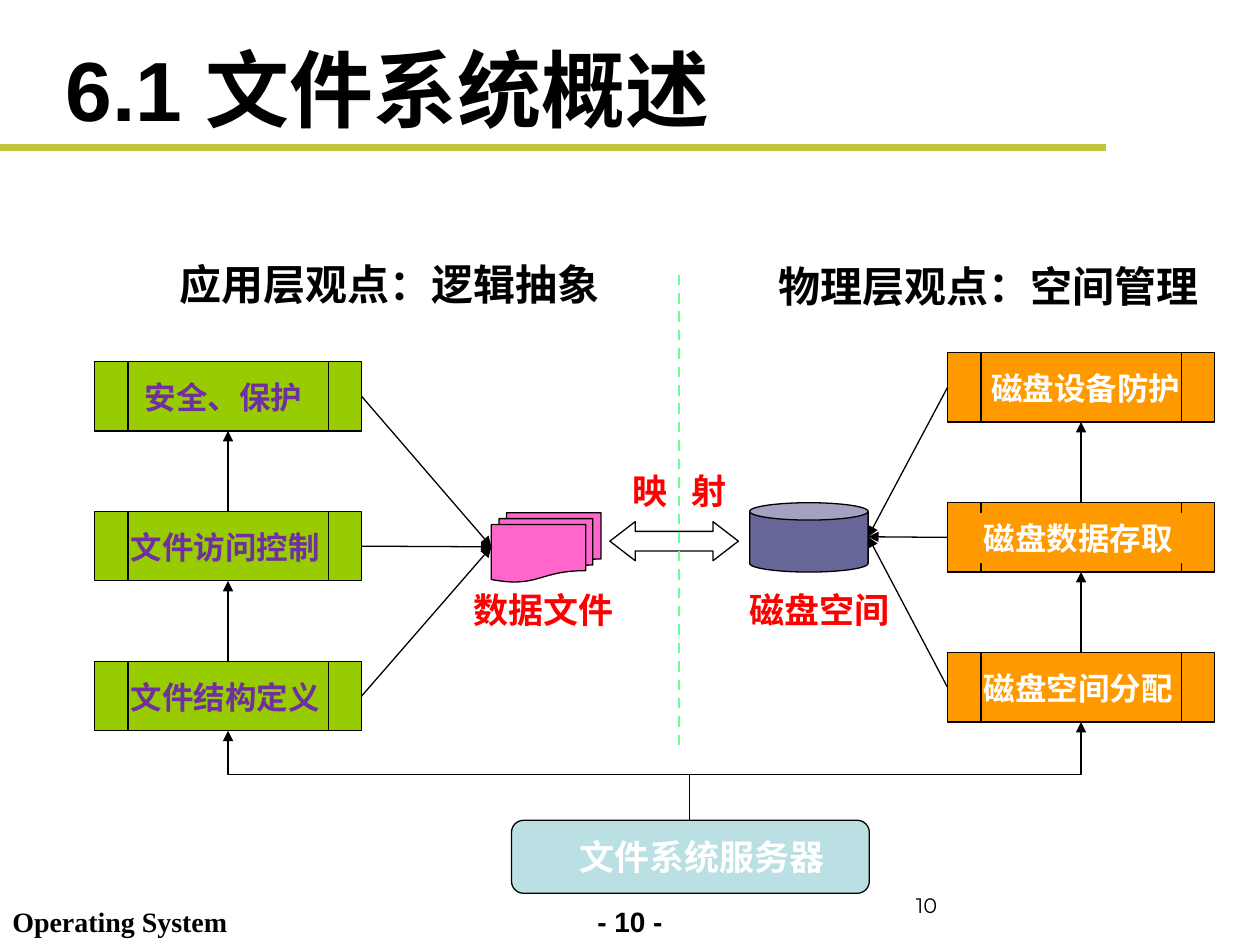
from lxml.etree import SubElement
from pptx import Presentation
from pptx.dml.color import RGBColor
from pptx.enum.dml import MSO_LINE
from pptx.enum.shapes import MSO_CONNECTOR, MSO_SHAPE
from pptx.enum.text import MSO_ANCHOR, PP_ALIGN
from pptx.oxml.ns import qn
from pptx.util import Inches, Pt

presentation = Presentation()
presentation.slide_width = Inches(10)
presentation.slide_height = Inches(7.5)
slide = presentation.slides.add_slide(presentation.slide_layouts[6])
shapes = slide.shapes


def color(value):
    return RGBColor.from_string(value)


def add_text(text, left, top, width, height, size, font_color="000000",
             font="Arial", bold=True, wrap=False, fill=None):
    shape = shapes.add_textbox(*map(Inches, (left, top, width, height)))
    if fill:
        shape.fill.solid()
        shape.fill.fore_color.rgb = color(fill)
    shape.text_frame.word_wrap = wrap
    paragraph = shape.text_frame.paragraphs[0]
    paragraph.text = text
    paragraph.font.size = Pt(size)
    paragraph.font.name = font
    paragraph.font.bold = bold
    paragraph.font.color.rgb = color(font_color)
    return shape


def add_box(kind, left, top, width, height, fill):
    shape = shapes.add_shape(kind, *map(Inches, (left, top, width, height)))
    shape.shadow.inherit = False
    shape.fill.solid()
    shape.fill.fore_color.rgb = color(fill)
    shape.line.color.rgb = color("000000")
    shape.line.width = Pt(0.75)
    return shape


def add_line(start, end, line_color="000000", width=0.75, arrow=True,
             kind=MSO_CONNECTOR.STRAIGHT):
    connector = shapes.add_connector(kind, *map(Inches, (*start, *end)))
    connector.line.color.rgb = color(line_color)
    connector.line.width = Pt(width)
    if arrow:
        SubElement(connector.line._get_or_add_ln(), qn("a:tailEnd"), type="triangle")
    SubElement(connector._element.spPr, qn("a:effectLst"))
    return connector


# Footer, title rule, slide number and title
page = add_text("- 10 -", 4.5, 7.13, 1, 0.37, 16, wrap=True)
page.text_frame.paragraphs[0].alignment = PP_ALIGN.CENTER
add_text("Operating System", 0, 7.13, 1.91, 0.37, 16, font="Times New Roman")
add_line((0, 1.17), (8.78, 1.17), "C1C43C", 4, arrow=False)
number = add_text("10", 7.17, 6.83, 2.33, 0.5, 12, font="Montserrat", bold=False, wrap=True)
number.text_frame.vertical_anchor = MSO_ANCHOR.BOTTOM
title = add_text("6.1 文件系统概述", 0.42, 0.33, 8.58, 0.74, 48, wrap=True)
title.text_frame.vertical_anchor = MSO_ANCHOR.MIDDLE

# File system server
add_box(MSO_SHAPE.FLOWCHART_ALTERNATE_PROCESS, 4.06, 6.51, 2.84, 0.58, "BBE0E3")
add_text("文件系统服务器", 4.5, 6.58, 2.18, 0.44, 20, "FFFFFF", fill="BBE0E3")

# Data file, disk space and the mapping between them
add_box(MSO_SHAPE.FLOWCHART_MULTIDOCUMENT, 3.9, 4.07, 0.87, 0.55, "FF66CC")
add_box(MSO_SHAPE.CAN, 5.95, 3.99, 0.94, 0.55, "666699")
mapping_arrow = add_box(MSO_SHAPE.LEFT_RIGHT_ARROW, 4.84, 4.14, 1.02, 0.31, "FFFFFF")
mapping_arrow.adjustments[1] = 0.65
add_text("数据文件", 3.66, 4.62, 1.33, 0.44, 20, "FF0000")
add_text("磁盘空间", 5.85, 4.62, 1.33, 0.44, 20, "FF0000")
mapping = add_text("映 射", 4.92, 3.68, 1, 0.44, 20, "FF0000")
mapping.text_frame.paragraphs[0].runs[0].font._element.set("spc", "450")

# Both process columns: left, top, fill, text colour, arrow side, target, labels
BOX_WIDTH, BOX_HEIGHT, PITCH = 2.12, 0.55, 1.19
columns = [
    (0.75, 2.87, "99CC00", "7030A0", 2.87, (3.9, 4.34),
     [("安全、保护", 1.05, 1.45), ("文件访问控制", 0.94, 1.73), ("文件结构定义", 0.94, 1.73)]),
    (7.52, 2.8, "FF9900", "FFFFFF", 7.52, (6.89, 4.26),
     [("磁盘设备防护", 7.77, 1.73), ("磁盘数据存取", 7.71, 1.73), ("磁盘空间分配", 7.71, 1.73)]),
]
server_x, server_top = 5.47, 6.51
for left, first_top, fill, text_color, side, target, labels in columns:
    center = left + BOX_WIDTH / 2
    for row, (label, label_left, label_width) in enumerate(labels):
        top = first_top + row * PITCH
        add_box(MSO_SHAPE.FLOWCHART_PREDEFINED_PROCESS, left, top, BOX_WIDTH, BOX_HEIGHT, fill)
        label_fill = fill if label == "磁盘数据存取" else None
        add_text(label, label_left, top + 0.08, label_width, 0.4, 18, text_color, fill=label_fill)
        add_line((side, top + BOX_HEIGHT / 2), target)
        if row:
            add_line((center, top), (center, top - PITCH + BOX_HEIGHT))

    # Elbow from the server: laid out sideways, then turned a quarter
    bottom = first_top + 2 * PITCH + BOX_HEIGHT
    middle_x, middle_y = (server_x + center) / 2, (server_top + bottom) / 2
    half_rise, half_run = (server_top - bottom) / 2, (center - server_x) / 2
    elbow = add_line((middle_x - half_rise, middle_y - half_run),
                     (middle_x + half_rise, middle_y + half_run), kind=MSO_CONNECTOR.ELBOW)
    elbow._element.spPr.find(qn("a:xfrm")).set("rot", str(270 * 60000))
    bend = round((server_top - 6.15) / (server_top - bottom) * 100000)
    guides = elbow._element.spPr.find(qn("a:prstGeom")).find(qn("a:avLst"))
    SubElement(guides, qn("a:gd"), name="adj1", fmla=f"val {bend}")

# Divider and headings of the two views
divider = add_line((5.39, 2.18), (5.39, 5.95), "66FF99", 1.5, arrow=False)
divider.line.dash_style = MSO_LINE.DASH
add_text("应用层观点：逻辑抽象", 1.33, 2, 3.59, 0.51, 24)
add_text("物理层观点：空间管理", 6.08, 2.02, 3.59, 0.51, 24)

presentation.save("out.pptx")
